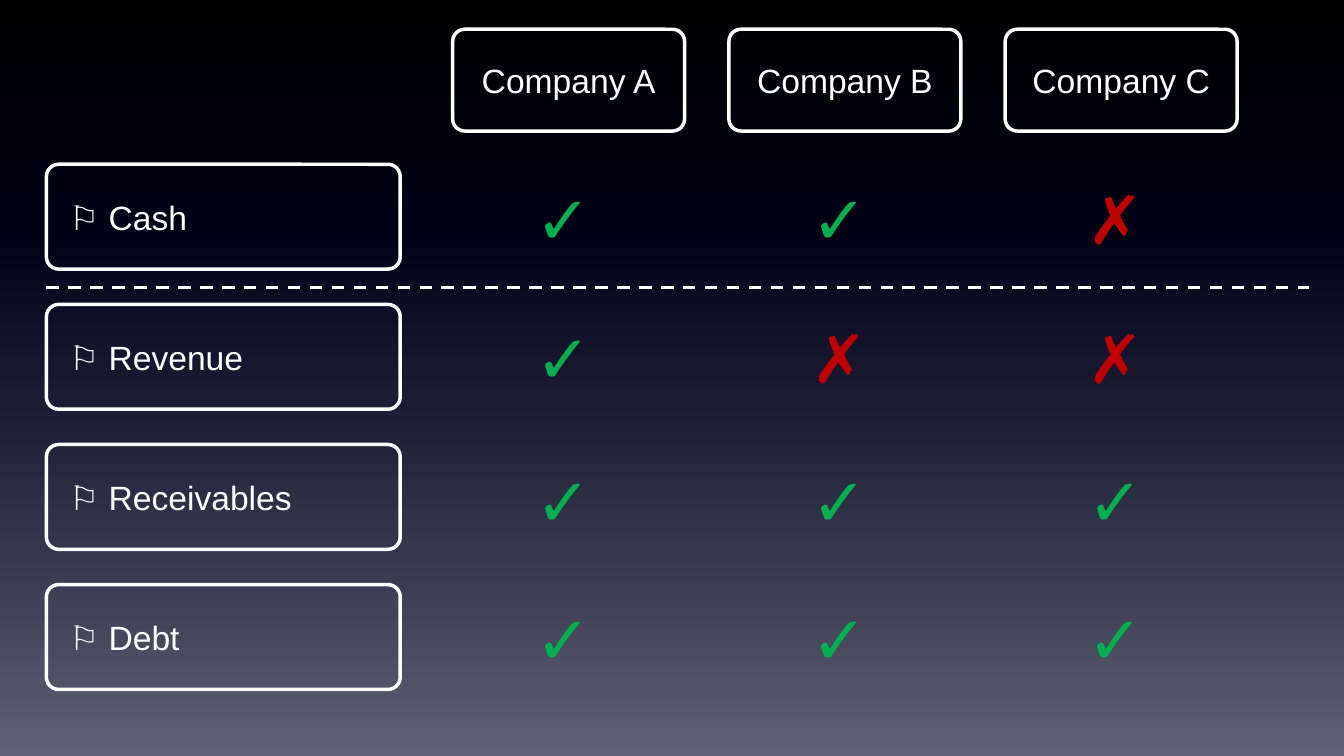
import dataclasses

import pptx
import pptx.dml.color
import pptx.enum.dml
import pptx.enum.shapes
import pptx.enum.text
import pptx.oxml.ns
import pptx.util
from lxml import etree
from pptx.util import Inches

qn = pptx.oxml.ns.qn
ALIGN = pptx.enum.text.PP_ALIGN


@dataclasses.dataclass(frozen=True)
class Theme:
    font: str = "Arial"
    text: str = "FFFFFF"
    yes: str = "00B050"
    no: str = "C00000"
    label_size: int = 24
    mark_size: int = 48
    frame_width: float = 2.5
    divider_width: float = 2.25
    backdrop: tuple = ((0, "000000"), (30, "000015"), (53, "1B1B34"),
                       (73, "36364D"), (100, "616173"))


THEME = Theme()
COMPANIES = ("Company A", "Company B", "Company C")
# Criterion, marks by company, top of the marks
CRITERIA = (
    ("Cash", "✓✓✗", 1.67),
    ("Revenue", "✓✗✗", 3.05),
    ("Receivables", "✓✓✓", 4.47),
    ("Debt", "✓✓✓", 5.84),
)
COLUMN_PITCH = 2.74
ROW_PITCH = 1.39
HEADER_LEFT, HEADER_TOP = 4.49, 0.29
LABEL_LEFT, LABEL_TOP = 0.46, 1.63
MARK_LEFT = 4.93
DIVIDER_RIGHT, DIVIDER_Y = 12.98, 2.85


def rgb(value):
    return pptx.dml.color.RGBColor.from_string(value)


def paint_backdrop(slide):
    fill = slide.background.fill
    fill.gradient()
    fill.gradient_angle = 270
    stops = slide.element.find(".//" + qn("a:gsLst"))
    for stop in list(stops):
        stops.remove(stop)
    for position, color in THEME.backdrop:
        stop = etree.SubElement(stops, qn("a:gs"), pos=str(position * 1000))
        etree.SubElement(stop, qn("a:srgbClr"), val=color)


def add_box(slide, left, top, width, height, rounding, framed):
    """Add an unfilled rounded box, with or without a white frame."""
    box = slide.shapes.add_shape(
        pptx.enum.shapes.MSO_SHAPE.ROUNDED_RECTANGLE,
        Inches(left), Inches(top), Inches(width), Inches(height))
    box.adjustments[0] = rounding
    box.shadow.inherit = False
    box.fill.background()
    if framed:
        box.line.color.rgb = rgb(THEME.text)
        box.line.width = pptx.util.Pt(THEME.frame_width)
    else:
        box.line.fill.background()
    box.text_frame.vertical_anchor = pptx.enum.text.MSO_ANCHOR.MIDDLE
    return box


def write(box, runs, size, color, align):
    """Fill a box with (text, bold) runs."""
    paragraph = box.text_frame.paragraphs[0]
    paragraph.alignment = align
    for text, bold in runs:
        run = paragraph.add_run()
        run.text = text
        run.font.color.rgb = rgb(color)
        formats = {"name": THEME.font, "size": pptx.util.Pt(size), "bold": bold}
        for key, value in formats.items():
            setattr(run.font, key, value)


def add_header(slide, column, company):
    box = add_box(slide, HEADER_LEFT + column * COLUMN_PITCH, HEADER_TOP,
                  2.3, 1.01, 0.118, True)
    write(box, [(company, False)], THEME.label_size, THEME.text, ALIGN.CENTER)


def add_label(slide, row, criterion):
    box = add_box(slide, LABEL_LEFT, LABEL_TOP + row * ROW_PITCH,
                  3.51, 1.04, 0.118, True)
    box.text_frame.margin_left = Inches(0.19)
    write(box, [("⚐ ", True), (criterion, False)],
          THEME.label_size, THEME.text, ALIGN.LEFT)


def add_mark(slide, column, top, mark):
    box = add_box(slide, MARK_LEFT + column * COLUMN_PITCH, top,
                  1.32, 0.98, 0.048, False)
    color = THEME.yes if mark == "✓" else THEME.no
    write(box, [(mark, True)], THEME.mark_size, color, ALIGN.CENTER)


def add_divider(slide):
    divider = slide.shapes.add_connector(
        pptx.enum.shapes.MSO_CONNECTOR.STRAIGHT,
        Inches(LABEL_LEFT), Inches(DIVIDER_Y),
        Inches(DIVIDER_RIGHT), Inches(DIVIDER_Y))
    divider.line.color.rgb = rgb(THEME.text)
    divider.line.width = pptx.util.Pt(THEME.divider_width)
    divider.line.dash_style = pptx.enum.dml.MSO_LINE.DASH
    etree.SubElement(divider.element.spPr, qn("a:effectLst"))


def main():
    deck = pptx.Presentation()
    deck.slide_width, deck.slide_height = Inches(13.33), Inches(7.5)
    slide = deck.slides.add_slide(deck.slide_layouts[6])
    paint_backdrop(slide)
    for column, company in enumerate(COMPANIES):
        add_header(slide, column, company)
    for row, (criterion, marks, mark_top) in enumerate(CRITERIA):
        add_label(slide, row, criterion)
        for column, mark in enumerate(marks):
            add_mark(slide, column, mark_top, mark)
    add_divider(slide)
    deck.save("out.pptx")


if __name__ == "__main__":
    main()
